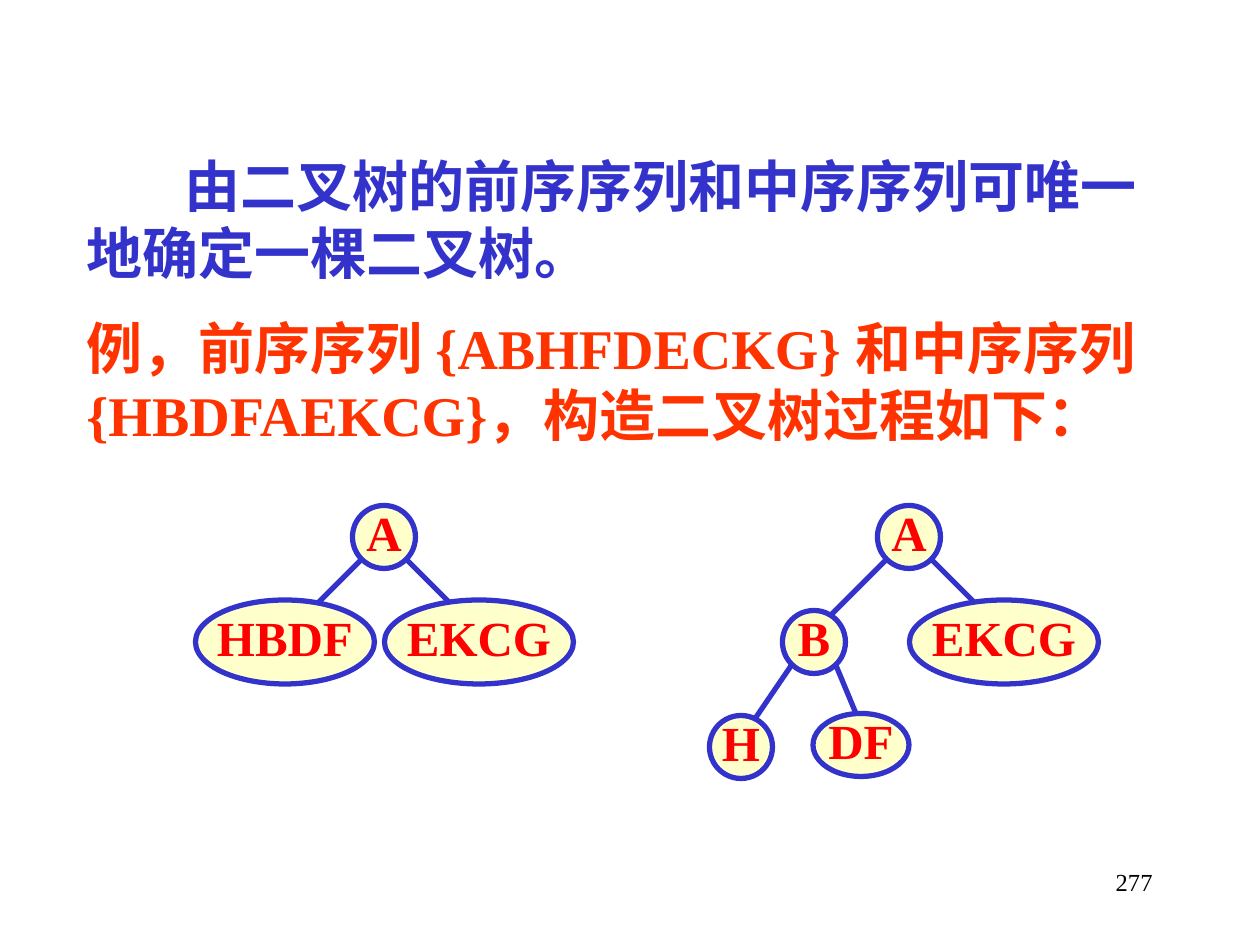
import pptx
import pptx.dml.color
import pptx.enum.shapes
import pptx.enum.text
import pptx.oxml.ns
import pptx.util
from lxml import etree

EMU_PER_PX = 914400 / 126
FONT = "Times New Roman"
COLORS = {
    "blue": "3333CC",
    "orange": "FF3300",
    "red": "FF0000",
    "black": "000000",
    "cream": "FFFFCC",
}
EDGE_START = 21  # sideways and downward from the parent's centre
LABEL_HEIGHT = 72
LABEL_LIFT = 5
STEP_SHIFT = 525  # from the first construction step to the second

# letters: centre x, centre y, width, height, label width
ROOT = ("A", 384, 537, 63, 63, 60)
LEFT_GROUP = ("HBDF", 285, 642, 179, 84, 161)
RIGHT_GROUP = ("EKCG", 479, 642, 189, 84, 170)
NODE_B = ("B", 814, 642, 63, 63, 58)
NODE_H = ("H", 741, 747, 63, 63, 63)
NODE_DF = ("DF", 861, 745, 96, 63, 95)


def px(value):
    return pptx.util.Emu(round(value * EMU_PER_PX))


def color(name):
    return pptx.dml.color.RGBColor.from_string(COLORS[name])


def shifted(node):
    """The same node in the second construction step."""
    letters, x, *rest = node
    return (letters, x + STEP_SHIFT, *rest)


def add_run(paragraph, text, size, color_name, bold=True):
    run = paragraph.add_run()
    run.text = text
    run.font.name = FONT
    run.font.size = pptx.util.Pt(size)
    run.font.bold = bold
    run.font.color.rgb = color(color_name)


def add_text_frame(slide, left, top, width, height, wrap=True):
    box = slide.shapes.add_textbox(px(left), px(top), px(width), px(height))
    box.text_frame.word_wrap = wrap
    return box.text_frame


def add_statement(slide):
    frame = add_text_frame(slide, 74, 145, 1111, 364)
    theorem = frame.paragraphs[0]
    theorem._p.get_or_add_pPr().set("indent", str(px(98)))
    add_run(theorem, "由二叉树的前序序列和中序序列可唯一地确定一棵二叉树。", 32, "blue")
    example = frame.add_paragraph()
    example.space_before = pptx.util.Pt(16)
    add_run(example, "例，前序序列 {ABHFDECKG} 和中序序列 {HBDFAEKCG}，构造二叉树过程如下：",
            32, "orange")


def add_edge(slide, parent, side, run, drop):
    """Line from below the parent's centre; side is -1 for left, 1 for right."""
    x, y = parent[1] + side * EDGE_START, parent[2] + EDGE_START
    edge = slide.shapes.add_connector(
        pptx.enum.shapes.MSO_CONNECTOR.STRAIGHT,
        px(x), px(y), px(x + side * run), px(y + drop))
    edge.line.color.rgb = color("blue")
    edge.line.width = pptx.util.Pt(3)
    etree.SubElement(edge._element.spPr, pptx.oxml.ns.qn("a:effectLst"))


def add_node(slide, letters, x, y, width, height, label_width):
    oval = slide.shapes.add_shape(
        pptx.enum.shapes.MSO_SHAPE.OVAL,
        px(x - width / 2), px(y - height / 2), px(width), px(height))
    oval.shadow.inherit = False
    oval.fill.solid()
    oval.fill.fore_color.rgb = color("cream")
    oval.line.color.rgb = color("blue")
    oval.line.width = pptx.util.Pt(3)

    label = add_text_frame(slide, x - label_width / 2, y - LABEL_LIFT - LABEL_HEIGHT / 2,
                           label_width, LABEL_HEIGHT, wrap=False)
    label.vertical_anchor = pptx.enum.text.MSO_ANCHOR.MIDDLE
    label.paragraphs[0].alignment = pptx.enum.text.PP_ALIGN.CENTER
    add_run(label.paragraphs[0], letters, 28, "red")


def add_page_number(slide):
    number = add_text_frame(slide, 903, 861, 262, 63).paragraphs[0]
    number.alignment = pptx.enum.text.PP_ALIGN.RIGHT
    add_run(number, "277", 14, "black", bold=False)


def main():
    deck = pptx.Presentation()
    deck.slide_width, deck.slide_height = px(1260), px(945)
    slide = deck.slides.add_slide(deck.slide_layouts[6])

    for root in (ROOT, shifted(ROOT)):
        for side in (-1, 1):
            add_edge(slide, root, side, 63, 63)
    add_edge(slide, NODE_B, -1, 43, 63)
    add_edge(slide, NODE_B, 1, 22, 53)

    add_statement(slide)
    for node in (ROOT, LEFT_GROUP, RIGHT_GROUP,
                 shifted(ROOT), shifted(RIGHT_GROUP), NODE_B, NODE_H, NODE_DF):
        add_node(slide, *node)
    add_page_number(slide)
    deck.save("out.pptx")


if __name__ == "__main__":
    main()
